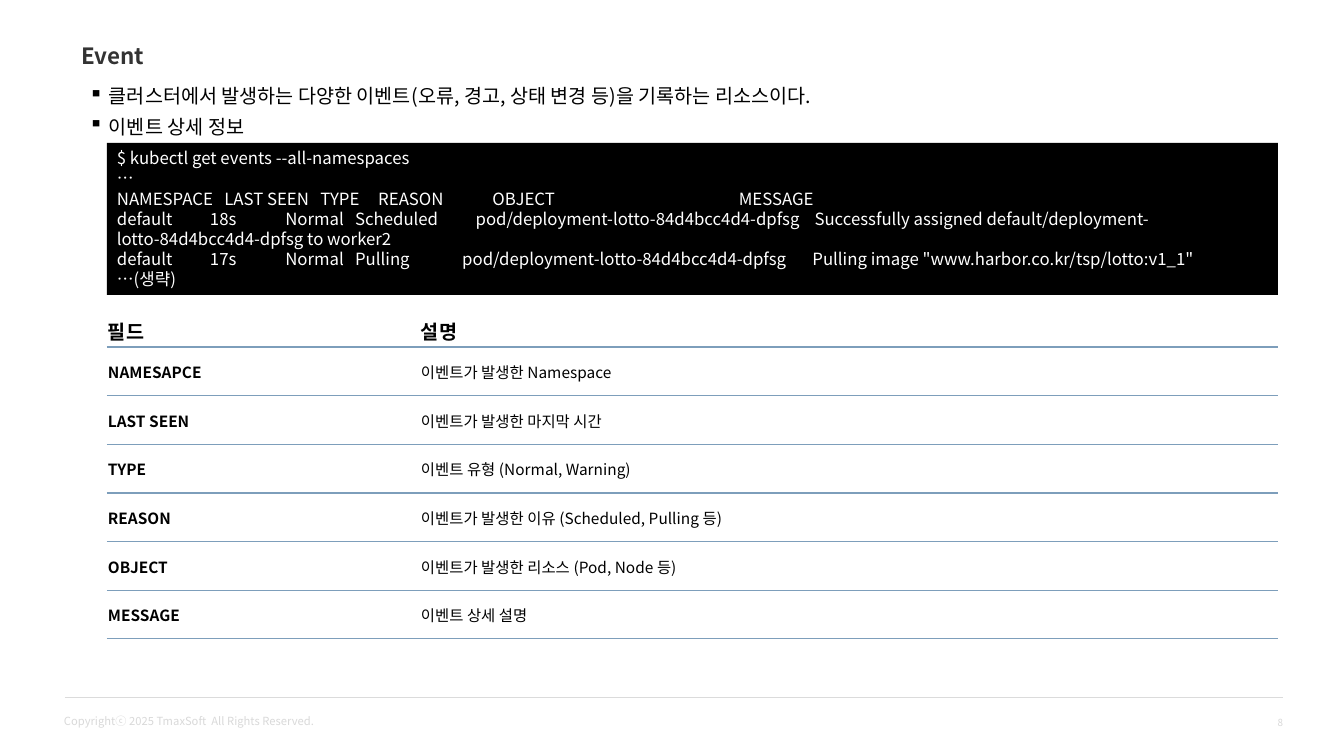
from lxml.etree import SubElement
from pptx import Presentation
from pptx.dml.color import RGBColor
from pptx.enum.shapes import MSO_CONNECTOR, MSO_SHAPE
from pptx.enum.text import MSO_ANCHOR, PP_ALIGN
from pptx.oxml import parse_xml
from pptx.oxml.ns import nsdecls, qn
from pptx.util import Pt

PX = 914400 / 100.8
FONT = "Noto Sans CJK KR"
BLACK = RGBColor(0x00, 0x00, 0x00)
WHITE = RGBColor(0xFF, 0xFF, 0xFF)
TITLE_GREY = RGBColor(0x33, 0x33, 0x33)
FOOTER_GREY = RGBColor(0xD9, 0xD9, 0xD9)
FOOTER_LINE = RGBColor(0xDB, 0xDB, 0xDB)
TABLE_LINE = RGBColor(0x7D, 0x9E, 0xBB)
NO_TABLE_STYLE = "{2D5ABB26-0587-4C30-8999-92F81FD0307C}"


def px(*lengths):
    """Turn pixel lengths into EMU."""
    return [round(length * PX) for length in lengths]


def write(frame, lines, size, color, bold=False, align=PP_ALIGN.LEFT):
    """Fill a text frame with one paragraph per line, all in one format."""
    for index, line in enumerate(lines):
        para = frame.paragraphs[0] if index == 0 else frame.add_paragraph()
        para.alignment = align
        span = para.add_run()
        span.text = line
        for name, value in {"name": FONT, "size": Pt(size), "bold": bold}.items():
            setattr(span.font, name, value)
        span.font.color.rgb = color
        SubElement(span.font._element, qn("a:ea"), typeface=FONT)


deck = Presentation()
deck.slide_width, deck.slide_height = px(1344, 756)
page = deck.slides.add_slide(deck.slide_layouts[5])
shapes = page.shapes

# Footer
footer_line = shapes.add_connector(MSO_CONNECTOR.STRAIGHT, *px(65, 697, 1283, 697))
footer_line.line.color.rgb = FOOTER_LINE
footer_line.line.width = Pt(0.5)
SubElement(footer_line._element.spPr, qn("a:effectLst"))

page_number = shapes.add_textbox(*px(1187, 690, 106, 66)).text_frame
page_number.word_wrap = True
page_number.vertical_anchor = MSO_ANCHOR.MIDDLE
write(page_number, ["8"], 7, FOOTER_GREY, align=PP_ALIGN.RIGHT)

copyright_line = shapes.add_textbox(*px(54, 709, 272, 24)).text_frame
copyright_line.word_wrap = False
write(copyright_line, ["Copyrightⓒ 2025 TmaxSoft  All Rights Reserved."], 8, FOOTER_GREY)

# Title and introduction
title = shapes.title
title.left, title.top, title.width, title.height = px(71, 37, 578, 37)
title.text_frame.vertical_anchor = MSO_ANCHOR.TOP
write(title.text_frame, ["Event"], 16, TITLE_GREY, bold=True)

intro = shapes.add_textbox(*px(79, 79, 1087, 65)).text_frame
intro.word_wrap = True
write(intro, [
    "클러스터에서 발생하는 다양한 이벤트(오류, 경고, 상태 변경 등)을 기록하는 리소스이다.",
    "이벤트 상세 정보",
], 14, BLACK)
indent = px(20)[0]
for para in intro.paragraphs:
    properties = para._p.get_or_add_pPr()
    properties.set("marL", str(indent))
    properties.set("indent", str(-indent))
    SubElement(properties, qn("a:buChar"), char="▪")
intro.paragraphs[1].space_before = Pt(5)

# Terminal output
terminal = shapes.add_shape(MSO_SHAPE.RECTANGLE, *px(107, 143, 1171, 152))
terminal.shadow.inherit = False
terminal.fill.solid()
terminal.fill.fore_color.rgb = BLACK
terminal.line.fill.background()
terminal.text_frame.word_wrap = True
terminal.text_frame.vertical_anchor = MSO_ANCHOR.TOP
write(terminal.text_frame, [
    "$ kubectl get events --all-namespaces",
    "…",
    "NAMESPACE   LAST SEEN   TYPE     REASON             OBJECT                                                 MESSAGE",
    "default          18s             Normal   Scheduled          pod/deployment-lotto-84d4bcc4d4-dpfsg    Successfully assigned default/deployment-lotto-84d4bcc4d4-dpfsg to worker2",
    "default          17s             Normal   Pulling              pod/deployment-lotto-84d4bcc4d4-dpfsg       Pulling image \"www.harbor.co.kr/tsp/lotto:v1_1\"",
    "…(생략)",
], 12, WHITE)

# Field table
fields = [
    ("필드", "설명"),
    ("NAMESAPCE", "이벤트가 발생한 Namespace"),
    ("LAST SEEN", "이벤트가 발생한 마지막 시간"),
    ("TYPE", "이벤트 유형 (Normal, Warning)"),
    ("REASON", "이벤트가 발생한 이유 (Scheduled, Pulling 등)"),
    ("OBJECT", "이벤트가 발생한 리소스 (Pod, Node 등)"),
    ("MESSAGE", "이벤트 상세 설명"),
]
table_height, header_height = px(325, 33)
table = shapes.add_table(len(fields), 2, *px(107, 314, 1171), table_height).table
table.first_row = table.horz_banding = False
table._tbl.tblPr.find(qn("a:tableStyleId")).text = NO_TABLE_STYLE
for column, width in zip(table.columns, px(313, 858)):
    column.width = width
body_height = (table_height - header_height) // (len(fields) - 1)
cell_margin = px(1)[0]
for row_index, texts in enumerate(fields):
    is_header = row_index == 0
    table.rows[row_index].height = header_height if is_header else body_height
    for column_index, text in enumerate(texts):
        cell = table.cell(row_index, column_index)
        cell_format = {
            "vertical_anchor": MSO_ANCHOR.MIDDLE,
            "margin_left": cell_margin,
            "margin_right": cell_margin,
            "margin_top": cell_margin,
            "margin_bottom": 0,
        }
        for name, value in cell_format.items():
            setattr(cell, name, value)
        cell.fill.background()
        write(cell.text_frame, [text], 14 if is_header else 11, BLACK,
              bold=is_header or column_index == 0)
        cell._tc.get_or_add_tcPr().insert(0, parse_xml(
            f'<a:lnB {nsdecls("a")} w="{Pt(1)}"><a:solidFill>'
            f'<a:srgbClr val="{TABLE_LINE}"/></a:solidFill></a:lnB>'))

deck.save("out.pptx")
